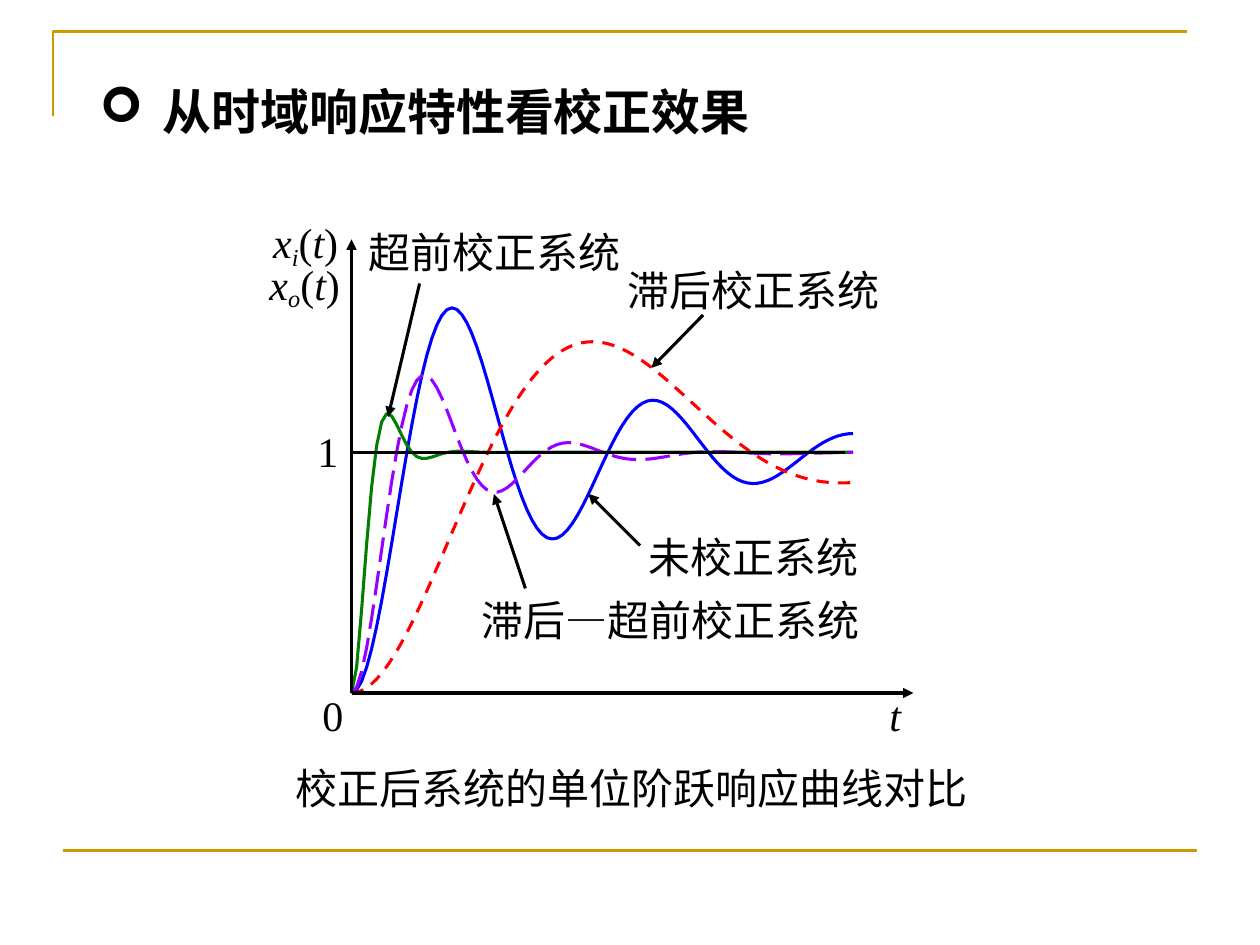
"""Build a slide comparing the unit step responses of corrected systems."""
from math import cos, exp, sin

from lxml.etree import SubElement
from pptx import Presentation
from pptx.dml.color import RGBColor
from pptx.enum.dml import MSO_LINE
from pptx.enum.shapes import MSO_CONNECTOR
from pptx.enum.text import MSO_ANCHOR, MSO_AUTO_SIZE, PP_ALIGN
from pptx.oxml.ns import qn
from pptx.util import Inches, Pt

COLORS = {"frame": "CC9900", "ink": "000000", "uncorrected": "0000FF",
          "lead": "007F00", "lag": "FF0000", "lag_lead": "9900FF"}
LATIN, CHINESE = "Times New Roman", "Noto Sans CJK SC"

TITLE = "从时域响应特性看校正效果"
CAPTION = "校正后系统的单位阶跃响应曲线对比"
LABELS = [
    ("0", 2.46, 5.42, 0.37), ("1", 2.42, 3.33, 0.37),
    ("未校正系统", 5.05, 4.17, 1.87), ("超前校正系统", 2.83, 1.75, 2.2),
    ("滞后校正系统", 4.88, 2.05, 2.2), ("滞后—超前校正系统", 3.72, 4.67, 3.2),
]
SIGNALS = [("i", 2.07, 1.67, 0.73), ("o", 2.04, 2, 0.77)]
POINTERS = [
    ((3.33, 2.25), (3.08, 3.31)), ((5.58, 2.5), (5.17, 2.92)),
    ((5.08, 4.33), (4.67, 3.92)), ((4.17, 4.67), (3.92, 3.92)),
]
CURVES = [
    {"color": "uncorrected", "dash": None,
     "response": {"decay": 0.64, "frequency": 3.94}},
    {"color": "lead", "dash": None,
     "response": {"decay": 6.35, "frequency": 10.95}},
    {"color": "lag", "dash": MSO_LINE.DASH,
     "response": {"decay": 0.51, "frequency": 1.62, "tail": 0.1, "tail_decay": 0.36}},
    {"color": "lag_lead", "dash": MSO_LINE.LONG_DASH,
     "response": {"decay": 1.65, "frequency": 5.5, "tail": -0.07, "tail_decay": 0.9}},
]

ORIGIN_X, ORIGIN_Y = 2.79, 5.5
UNIT_Y = 3.59
UNIT_HEIGHT = ORIGIN_Y - UNIT_Y
CURVE_WIDTH, STEPS = 3.98, 100
LABEL_HEIGHT = 0.5


def step_response(time, decay, frequency, tail=0, tail_decay=0):
    """Return a damped oscillation plus a slow tail, starting at zero with zero slope."""
    cosine = 1 + tail
    sine = (decay * cosine - tail_decay * tail) / frequency
    swing = cosine * cos(frequency * time) + sine * sin(frequency * time)
    return 1 - exp(-decay * time) * swing + tail * exp(-tail_decay * time)


def curve_points(response):
    """Return the points of a response curve in inches on the slide."""
    times = [CURVE_WIDTH * step / STEPS for step in range(STEPS + 1)]
    return [(ORIGIN_X + time, ORIGIN_Y - UNIT_HEIGHT * step_response(time, **response))
            for time in times]


def style_line(shape, color, width, dash=None):
    """Set the colour, width and dash of an outline."""
    shape.line.color.rgb = RGBColor.from_string(COLORS[color])
    shape.line.width = Pt(width)
    if dash:
        shape.line.dash_style = dash


def add_line(slide, start, end, color="ink", width=1.75, arrow=False):
    """Draw a straight line, with an arrowhead at its end if asked."""
    ends = [Inches(value) for value in (*start, *end)]
    line = slide.shapes.add_connector(MSO_CONNECTOR.STRAIGHT, *ends)
    style_line(line, color, width)
    if arrow:
        SubElement(line.line._get_or_add_ln(), qn("a:tailEnd"), type="triangle")
    SubElement(line._element.spPr, qn("a:effectLst"))


def add_polyline(slide, points, color, width=1.75, dash=None):
    """Draw an open unfilled outline through points given in inches."""
    corners = [(Inches(x), Inches(y)) for x, y in points]
    builder = slide.shapes.build_freeform(*corners[0])
    builder.add_line_segments(corners[1:], close=False)
    shape = builder.convert_to_shape()
    shape.fill.background()
    shape.shadow.inherit = False
    style_line(shape, color, width, dash)


def write_text(shape, runs, box, font=LATIN, size=24, bold=False, wrap=False, bullet=None):
    """Place a shape and write runs of (text, italic, baseline percent) into it."""
    shape.left, shape.top, shape.width, shape.height = [Inches(value) for value in box]
    frame = shape.text_frame
    frame.word_wrap = wrap
    frame.auto_size = MSO_AUTO_SIZE.NONE
    frame.vertical_anchor = MSO_ANCHOR.TOP
    paragraph = frame.paragraphs[0]
    paragraph.alignment = PP_ALIGN.LEFT
    if bullet:
        properties = paragraph._p.get_or_add_pPr()
        properties.set("marL", str(Inches(0.5)))
        properties.set("indent", str(Inches(-0.5)))
        SubElement(properties, qn("a:buFont"), typeface="Wingdings")
        SubElement(properties, qn("a:buChar"), char=bullet)
    for text, italic, baseline in runs:
        run = paragraph.add_run()
        run.text = text
        run.font.name, run.font.size = font, Pt(size)
        run.font.bold, run.font.italic = bold, italic
        run.font.color.rgb = RGBColor.from_string(COLORS["ink"])
        properties = run._r.get_or_add_rPr()
        SubElement(properties, qn("a:ea"), typeface=CHINESE)
        if baseline:
            properties.set("baseline", str(baseline * 1000))


def add_text(slide, runs, left, top, width, **formatting):
    """Add a one-line text box and write runs into it."""
    text_box = slide.shapes.add_textbox(0, 0, 0, 0)
    write_text(text_box, runs, (left, top, width, LABEL_HEIGHT), **formatting)


def draw_frame(slide):
    """Draw the corner rule and the bottom rule of the page."""
    add_polyline(slide, [(0.42, 0.92), (0.42, 0.25), (9.42, 0.25)], "frame", 1.5)
    add_line(slide, (0.5, 6.75), (9.5, 6.75), "frame", 1.5)


def draw_plot(slide):
    """Draw the response curves, the axes, the unit level and the pointers."""
    for curve in CURVES:
        add_polyline(slide, curve_points(curve["response"]), curve["color"],
                     dash=curve["dash"])
    origin = (ORIGIN_X, ORIGIN_Y)
    add_line(slide, origin, (7.25, ORIGIN_Y), arrow=True)
    add_line(slide, origin, (ORIGIN_X, 1.9), arrow=True)
    add_line(slide, (ORIGIN_X, UNIT_Y), (6.71, UNIT_Y))
    for start, end in POINTERS:
        add_line(slide, start, end, arrow=True)


def write_labels(slide):
    """Write the curve names, the axis names and the caption."""
    for text, *place in LABELS:
        add_text(slide, [(text, False, 0)], *place)
    add_text(slide, [("t", True, 0)], 6.96, 5.42, 0.29)
    for subscript, *place in SIGNALS:
        runs = [("x", True, 0), (subscript, True, -18), ("(", False, 0),
                ("t", True, 0), (")", False, 0)]
        add_text(slide, runs, *place)
    add_text(slide, [(CAPTION, False, 0)], 2.25, 6, 5.77, font=CHINESE, wrap=True)


def main():
    """Build the slide and save it."""
    presentation = Presentation()
    presentation.slide_width, presentation.slide_height = Inches(10), Inches(7.5)
    slide = presentation.slides.add_slide(presentation.slide_layouts[5])
    write_text(slide.shapes.title, [(TITLE, False, 0)], (0.69, 0.6, 7.95, 0.57),
               font=CHINESE, size=28, bold=True, wrap=True, bullet="➢")
    draw_frame(slide)
    draw_plot(slide)
    write_labels(slide)
    presentation.save("out.pptx")


if __name__ == "__main__":
    main()
